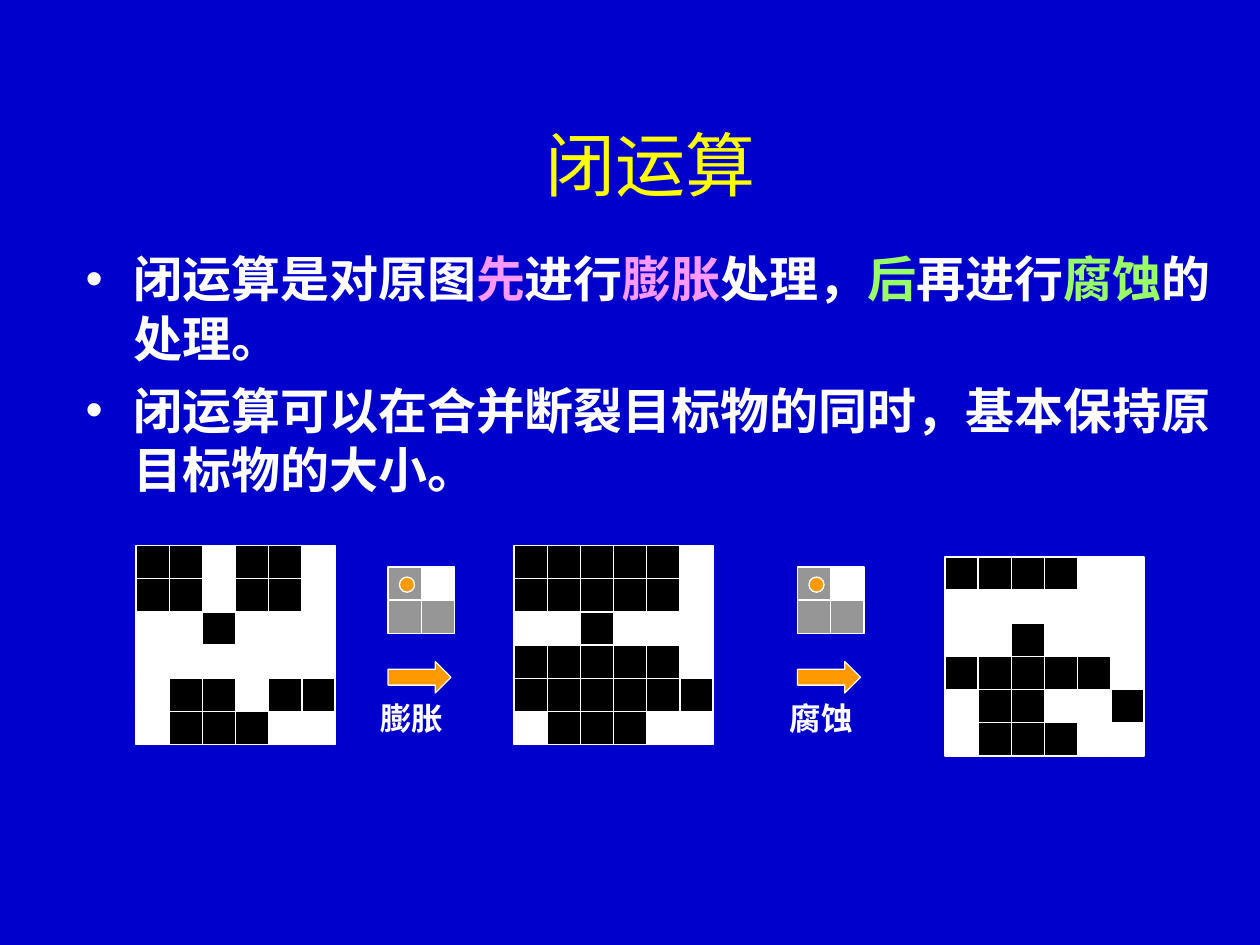
"""Builds a slide explaining the morphological closing operation."""
from lxml import etree
from pptx import Presentation, util as u
from pptx.dml.color import RGBColor
from pptx.enum import shapes, text
from pptx.oxml.ns import qn

CJK = "Noto Sans CJK SC"
WHITE, PINK, GREEN, ORANGE = "FFFFFF", "FF99FF", "99FF66", "FF9900"
COLORS = {"#": "000000", "+": "969696", ".": WHITE}
CELL = 1.58 / 6

TITLE = "闭运算"
BULLETS = [
    [("闭运算是对原图", WHITE), ("先", PINK), ("进行", WHITE), ("膨胀", PINK),
     ("处理，", WHITE), ("后", GREEN), ("再进行", WHITE), ("腐蚀", GREEN),
     ("的处理。", WHITE)],
    [("闭运算可以在合并断裂目标物的同时，基本保持原目标物的大小。", WHITE)],
]
IMAGES = [
    (1.08, 4.33, ["##.##.", "##.##.", "..#...", "......", ".##.##", ".###.."]),
    (4.08, 4.33, ["#####.", "#####.", "..#...", "#####.", "######", ".###.."]),
    (7.5, 4.42, ["####..", "......", "..#...", "#####.", ".##..#", ".###.."]),
]
KERNEL = ["+.", "++"]
STEPS = [(3.08, "膨胀"), (6.33, "腐蚀")]


def color(value):
    return RGBColor.from_string(value)


def place(s, *box):
    s.left, s.top, s.width, s.height = (u.Inches(v) for v in box)


def add_text(p, words, size, fill=WHITE, font=CJK, bold=False):
    r = p.add_run()
    r.text = words
    r.font.size, r.font.bold, r.font.name = u.Pt(size), bold, font
    r.font.color.rgb = color(fill)
    etree.SubElement(r._r.get_or_add_rPr(), qn("a:ea"), typeface=CJK)


def add_bullet(p):
    pPr = p._p.get_or_add_pPr()
    pPr.set("marL", str(u.Inches(0.38)))
    pPr.set("indent", str(-u.Inches(0.38)))
    clr = etree.SubElement(pPr, qn("a:buClr"))
    etree.SubElement(clr, qn("a:srgbClr"), val=WHITE)
    etree.SubElement(pPr, qn("a:buChar"), char="•")


def add_shape(group, kind, fill, *box):
    sp = group.shapes.add_shape(kind, *(u.Inches(v) for v in box))
    sp.shadow.inherit = False
    sp.fill.solid()
    sp.fill.fore_color.rgb = color(fill)
    sp.line.color.rgb = color(WHITE)
    sp.line.width = u.Pt(0.75)


def add_grid(group, left, top, rows):
    for y, row in enumerate(rows):
        for x, mark in enumerate(row):
            add_shape(group, shapes.MSO_SHAPE.RECTANGLE, COLORS[mark],
                      left + x * CELL, top + y * CELL, CELL, CELL)


def add_step(group, left, label):
    add_shape(group, shapes.MSO_SHAPE.RIGHT_ARROW, ORANGE, left, 5.25, 0.5, 0.25)
    add_grid(group, left, 4.5, KERNEL)
    add_shape(group, shapes.MSO_SHAPE.OVAL, ORANGE, left + 0.09, 4.58, 0.12, 0.12)
    box = (left - 0.16, 5.5, 0.83, 0.4)
    tf = group.shapes.add_textbox(*(u.Inches(v) for v in box)).text_frame
    tf.word_wrap = True
    add_text(tf.paragraphs[0], label, 18, font="Times New Roman", bold=True)


def main():
    prs = Presentation()
    prs.slide_width, prs.slide_height = u.Inches(10), u.Inches(7.5)
    s = prs.slides.add_slide(prs.slide_layouts[1])
    s.background.fill.solid()
    s.background.fill.fore_color.rgb = color("0000CC")

    title, body = s.placeholders
    place(title, 1.28, 0.67, 7.76, 1.25)
    title.text_frame.vertical_anchor = text.MSO_ANCHOR.MIDDLE
    p = title.text_frame.paragraphs[0]
    p.alignment = text.PP_ALIGN.CENTER
    add_text(p, TITLE, 40, "FFFF00")

    place(body, 0.58, 1.92, 9.42, 2.42)
    tf = body.text_frame
    tf.auto_size = text.MSO_AUTO_SIZE.NONE
    for i, runs in enumerate(BULLETS):
        p = tf.add_paragraph() if i else tf.paragraphs[0]
        add_bullet(p)
        p.line_spacing = u.Pt(34)
        p.space_before = u.Pt(7 if i else 0)
        for words, fill in runs:
            add_text(p, words, 28, fill, bold=True)

    for image in IMAGES:
        add_grid(s.shapes.add_group_shape(), *image)
    for step in STEPS:
        add_step(s.shapes.add_group_shape(), *step)
    prs.save("out.pptx")


if __name__ == "__main__":
    main()
